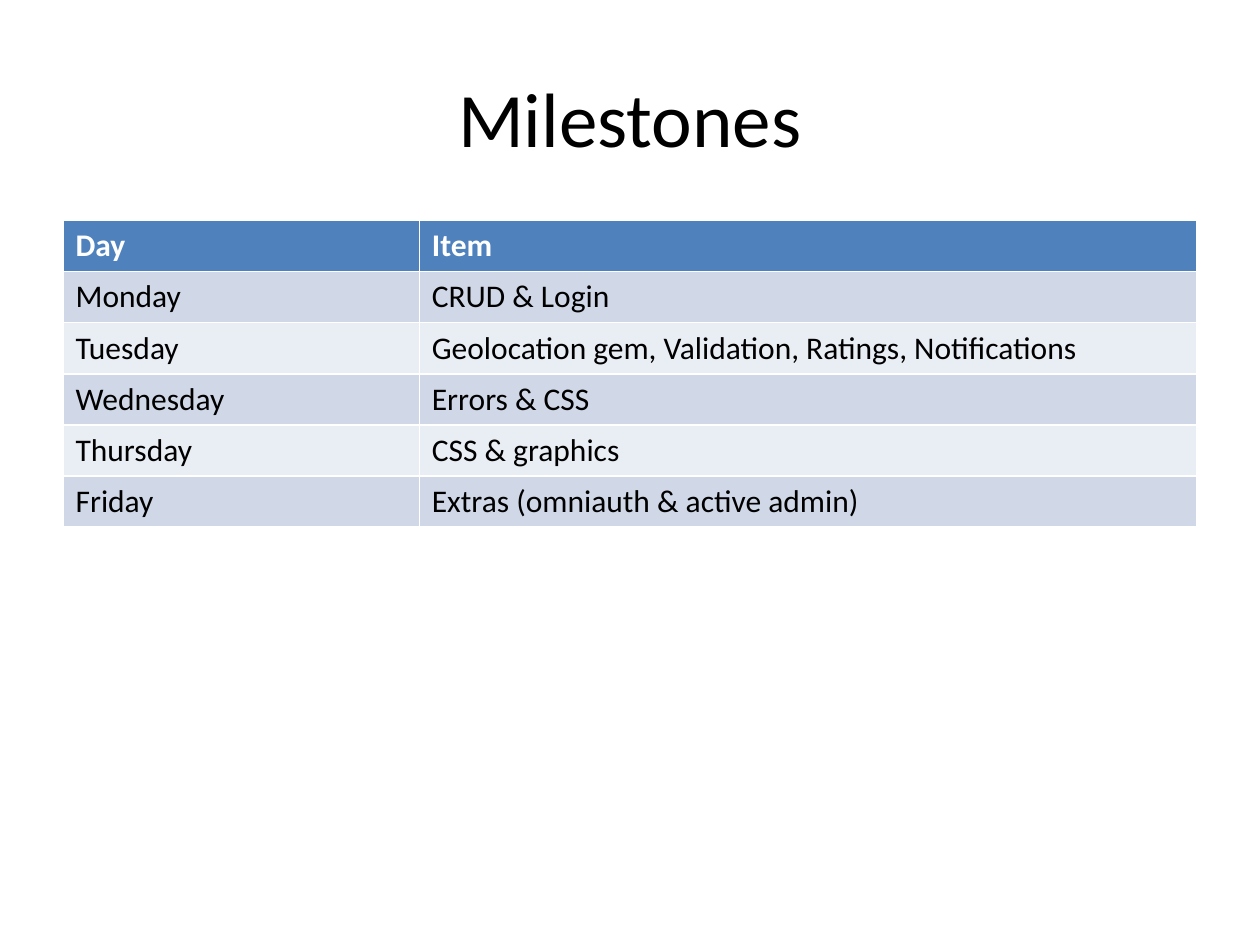
import pptx
import pptx.util
import pptx.dml.color
import pptx.enum.text

Pt = pptx.util.Pt
RGBColor = pptx.dml.color.RGBColor

# Content
HEADING = "Milestones"
MILESTONES = [
    ("Day", "Item"),
    ("Monday", "CRUD & Login"),
    ("Tuesday", "Geolocation gem, Validation, Ratings, Notifications"),
    ("Wednesday", "Errors & CSS"),
    ("Thursday", "CSS & graphics"),
    ("Friday", "Extras (omniauth & active admin)"),
]

# Colours and sizes
BLACK = RGBColor(0x00, 0x00, 0x00)
WHITE = RGBColor(0xFF, 0xFF, 0xFF)
HEADER_BLUE = RGBColor(0x4F, 0x81, 0xBD)
BANDS = [RGBColor(0xD0, 0xD8, 0xE8), RGBColor(0xE9, 0xED, 0xF4)]
MARGIN, CONTENT_WIDTH = 36, 648
DAY_WIDTH = 203.6
ROW_HEIGHT = 29.2

HEADING_FONT = {"name": "Calibri", "size": Pt(44)}
HEADER_FONT = {"name": "Calibri", "size": Pt(18), "bold": True}
BODY_FONT = {"name": "Calibri", "size": Pt(18), "bold": False}


def format_font(font, values, colour):
    for attribute, value in values.items():
        setattr(font, attribute, value)
    font.color.rgb = colour


deck = pptx.Presentation()
deck.slide_width, deck.slide_height = Pt(720), Pt(540)
slide = deck.slides.add_slide(deck.slide_layouts[6])

# Heading
heading = slide.shapes.add_textbox(
    Pt(MARGIN), Pt(21.6), Pt(CONTENT_WIDTH), Pt(90)).text_frame
heading.word_wrap = True
heading.vertical_anchor = pptx.enum.text.MSO_ANCHOR.MIDDLE
heading.text = HEADING
heading.paragraphs[0].alignment = pptx.enum.text.PP_ALIGN.CENTER
format_font(heading.paragraphs[0].runs[0].font, HEADING_FONT, BLACK)

# Milestone table; its default style draws the white rules
schedule = slide.shapes.add_table(
    len(MILESTONES), 2, Pt(MARGIN), Pt(126), Pt(CONTENT_WIDTH),
    Pt(ROW_HEIGHT * len(MILESTONES))).table
for column, width in zip(schedule.columns, (DAY_WIDTH, CONTENT_WIDTH - DAY_WIDTH)):
    column.width = Pt(width)

for row, entries in enumerate(MILESTONES):
    is_header = row == 0
    fill = HEADER_BLUE if is_header else BANDS[(row - 1) % 2]
    for column, entry in enumerate(entries):
        cell = schedule.cell(row, column)
        cell.text = entry
        cell.fill.solid()
        cell.fill.fore_color.rgb = fill
        format_font(cell.text_frame.paragraphs[0].runs[0].font,
                    HEADER_FONT if is_header else BODY_FONT,
                    WHITE if is_header else BLACK)

deck.save("out.pptx")
